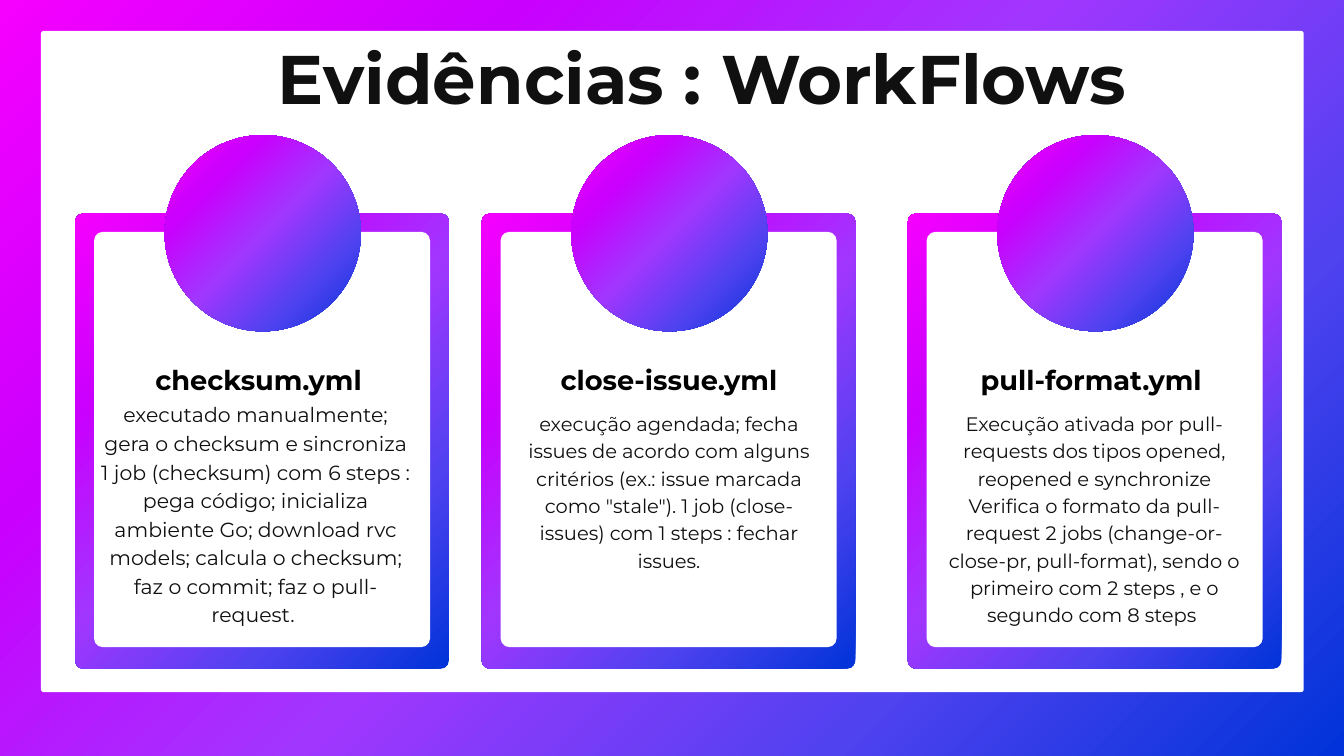
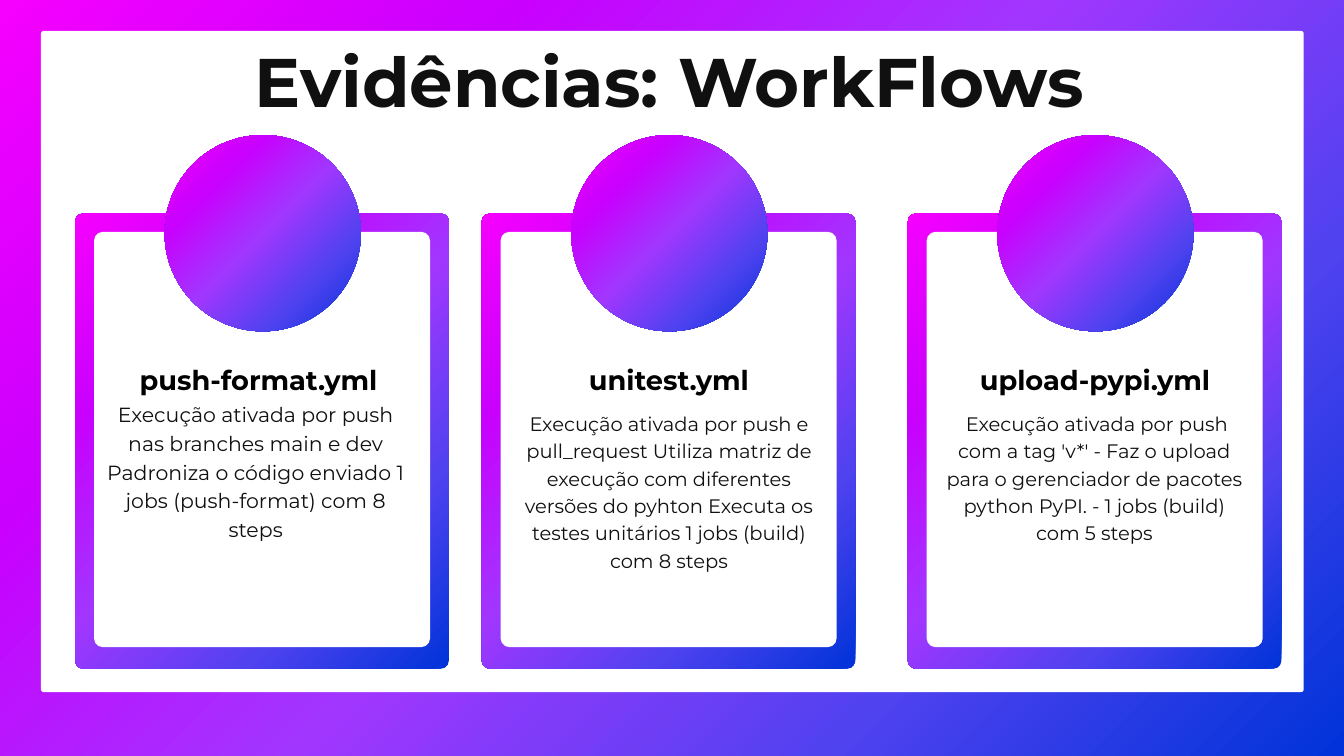
from dataclasses import dataclass

from lxml.etree import SubElement
from pptx import Presentation
from pptx.dml.color import RGBColor
from pptx.enum.shapes import MSO_SHAPE
from pptx.enum.text import MSO_ANCHOR, MSO_AUTO_SIZE, PP_ALIGN
from pptx.oxml.ns import qn
from pptx.shapes.autoshape import Shape
from pptx.slide import Slide
from pptx.util import Inches, Pt

WHITE = RGBColor(0xFF, 0xFF, 0xFF)
BLACK = RGBColor(0x00, 0x00, 0x00)
INK = RGBColor(0x10, 0x10, 0x10)
GRADIENT = {
    0: RGBColor(0xF6, 0x00, 0xFE),
    25: RGBColor(0xC9, 0x00, 0xFE),
    50: RGBColor(0xA1, 0x36, 0xFF),
    75: RGBColor(0x51, 0x42, 0xF0),
    100: RGBColor(0x00, 0x33, 0xD9),
}
FONT = "Montserrat"


@dataclass(frozen=True)
class Box:
    left: float
    top: float
    width: float
    height: float


@dataclass(frozen=True)
class TextStyle:
    size: float
    line_height: float
    color: RGBColor
    bold: bool = False


@dataclass(frozen=True)
class Slot:
    """Place of a card, and of the description inside it."""
    left: float
    text_left: float
    text_top: float
    text_width: float
    style: TextStyle


@dataclass(frozen=True)
class Workflow:
    file_name: str
    description: str
    lines: int


@dataclass(frozen=True)
class WorkflowPage:
    title: str
    title_box: Box
    workflows: tuple[Workflow, ...]


TITLE = TextStyle(73.7, 88.4, INK, bold=True)
FILE_NAME = TextStyle(29.2, 40.8, BLACK, bold=True)
LARGE_TEXT = TextStyle(21.9, 30.6, INK)
SMALL_TEXT = TextStyle(20.9, 29.3, INK)

PANEL = Box(0.61, 0.46, 18.79, 9.84)
SLOTS = (
    Slot(1.12, 1.5, 5.93, 4.61, LARGE_TEXT),
    Slot(7.17, 7.75, 6.07, 4.41, SMALL_TEXT),
    Slot(13.51, 14.08, 6.07, 4.41, SMALL_TEXT),
)

PAGES = (
    WorkflowPage("Evidências : WorkFlows", Box(3.14, 0.53, 14.61, 1.22), (
        Workflow(
            "checksum.yml ",
            "executado manualmente; gera o checksum e sincroniza 1 job (checksum) "
            "com 6 steps : pega código; inicializa ambiente Go; download rvc models; "
            "calcula o checksum; faz o commit; faz o pull-request. ", 8),
        Workflow(
            "close-issue.yml",
            "execução agendada; fecha issues de acordo com alguns critérios "
            "(ex.: issue marcada como \"stale\"). 1 job (close-issues) com 1 steps : "
            "fechar issues.", 6),
        Workflow(
            "pull-format.yml ",
            "Execução ativada por pull-requests dos tipos opened, reopened e "
            "synchronize Verifica o formato da pull-request 2 jobs "
            "(change-or-close-pr, pull-format), sendo o primeiro com 2 steps , "
            "e o segundo com 8 steps ", 8),
    )),
    WorkflowPage("Evidências: WorkFlows", Box(3.7, 0.57, 12.51, 1.22), (
        Workflow(
            "push-format.yml ",
            "Execução ativada por push nas branches main e dev Padroniza o código "
            "enviado 1 jobs (push-format) com 8 steps", 5),
        Workflow(
            "unitest.yml",
            "Execução ativada por push e pull_request Utiliza matriz de execução "
            "com diferentes versões do pyhton Executa os testes unitários 1 jobs "
            "(build) com 8 steps", 6),
        Workflow(
            "upload-pypi.yml",
            " Execução ativada por push com a tag 'v*' - Faz o upload para o "
            "gerenciador de pacotes python PyPI. - 1 jobs (build) com 5 steps", 5),
    )),
)


def apply_gradient(solid_fill) -> None:
    """Put the corner-to-corner gradient in place of a solid fill element."""
    parent = solid_fill.getparent()
    gradient = SubElement(parent, qn("a:gradFill"), rotWithShape="1")
    stops = SubElement(gradient, qn("a:gsLst"))
    for position, color in GRADIENT.items():
        stop = SubElement(stops, qn("a:gs"), pos=str(position * 1000))
        SubElement(stop, qn("a:srgbClr"), val=str(color))
    shade = SubElement(gradient, qn("a:path"), path="circle")
    SubElement(shade, qn("a:fillToRect"), l="0", t="0", r="100000", b="100000")
    parent.replace(solid_fill, gradient)


def paint_background(deck) -> None:
    master = deck.slide_master
    master.background.fill.solid()
    master.background.fill.fore_color.rgb = WHITE
    background = master.element.find(".//" + qn("p:bgPr"))
    apply_gradient(background.find(qn("a:solidFill")))


def add_block(page: Slide, kind: MSO_SHAPE, box: Box, radius: float = 0,
              gradient: bool = False) -> None:
    block = page.shapes.add_shape(kind, Inches(box.left), Inches(box.top),
                                  Inches(box.width), Inches(box.height))
    block.shadow.inherit = False
    block.fill.solid()
    block.fill.fore_color.rgb = WHITE
    if gradient:
        apply_gradient(block.element.find(".//" + qn("a:solidFill")))
    block.line.fill.background()
    if radius:
        block.adjustments[0] = radius / min(box.width, box.height)


def write_text(shape: Shape, text: str, style: TextStyle) -> None:
    frame = shape.text_frame
    frame.margin_left = frame.margin_right = 0
    frame.margin_top = frame.margin_bottom = 0
    frame.word_wrap = True
    frame.auto_size = MSO_AUTO_SIZE.SHAPE_TO_FIT_TEXT
    frame.vertical_anchor = MSO_ANCHOR.TOP
    para = frame.paragraphs[0]
    para.alignment = PP_ALIGN.CENTER
    para.line_spacing = Pt(style.line_height)
    para.space_before = Pt(0)
    span = para.add_run()
    span.text = text
    span.font.name = FONT
    span.font.size = Pt(style.size)
    span.font.bold = style.bold
    span.font.color.rgb = style.color


def add_text(page: Slide, box: Box, text: str, style: TextStyle) -> None:
    shape = page.shapes.add_textbox(Inches(box.left), Inches(box.top),
                                    Inches(box.width), Inches(box.height))
    write_text(shape, text, style)


def add_title(page: Slide, text: str, box: Box) -> None:
    """Fill the title placeholder and bring it in front of the panel."""
    title = page.shapes.title
    title.left, title.top = Inches(box.left), Inches(box.top)
    title.width, title.height = Inches(box.width), Inches(box.height)
    write_text(title, text, TITLE)
    page.shapes.element.append(title.element)


def add_card(page: Slide, slot: Slot, workflow: Workflow) -> None:
    left = slot.left
    add_block(page, MSO_SHAPE.ROUNDED_RECTANGLE, Box(left, 3.18, 5.56, 6.77),
              radius=0.12, gradient=True)
    add_block(page, MSO_SHAPE.ROUNDED_RECTANGLE, Box(left + 0.28, 3.45, 5, 6.18),
              radius=0.13)
    add_block(page, MSO_SHAPE.OVAL, Box(left + 1.33, 2.01, 2.92, 2.92), gradient=True)
    add_text(page, Box(left + 0.58, 5.33, 4.41, 0.53), workflow.file_name, FILE_NAME)
    height = workflow.lines * Pt(slot.style.line_height).inches
    add_text(page, Box(slot.text_left, slot.text_top, slot.text_width, height),
             workflow.description, slot.style)


def main() -> None:
    deck = Presentation()
    deck.slide_width, deck.slide_height = Inches(20), Inches(11.25)
    paint_background(deck)
    title_only = deck.slide_layouts.get_by_name("Title Only")
    for content in PAGES:
        page = deck.slides.add_slide(title_only)
        add_block(page, MSO_SHAPE.ROUNDED_RECTANGLE, PANEL, radius=0.04)
        add_title(page, content.title, content.title_box)
        for slot, workflow in zip(SLOTS, content.workflows):
            add_card(page, slot, workflow)
    deck.save("out.pptx")


if __name__ == "__main__":
    main()
